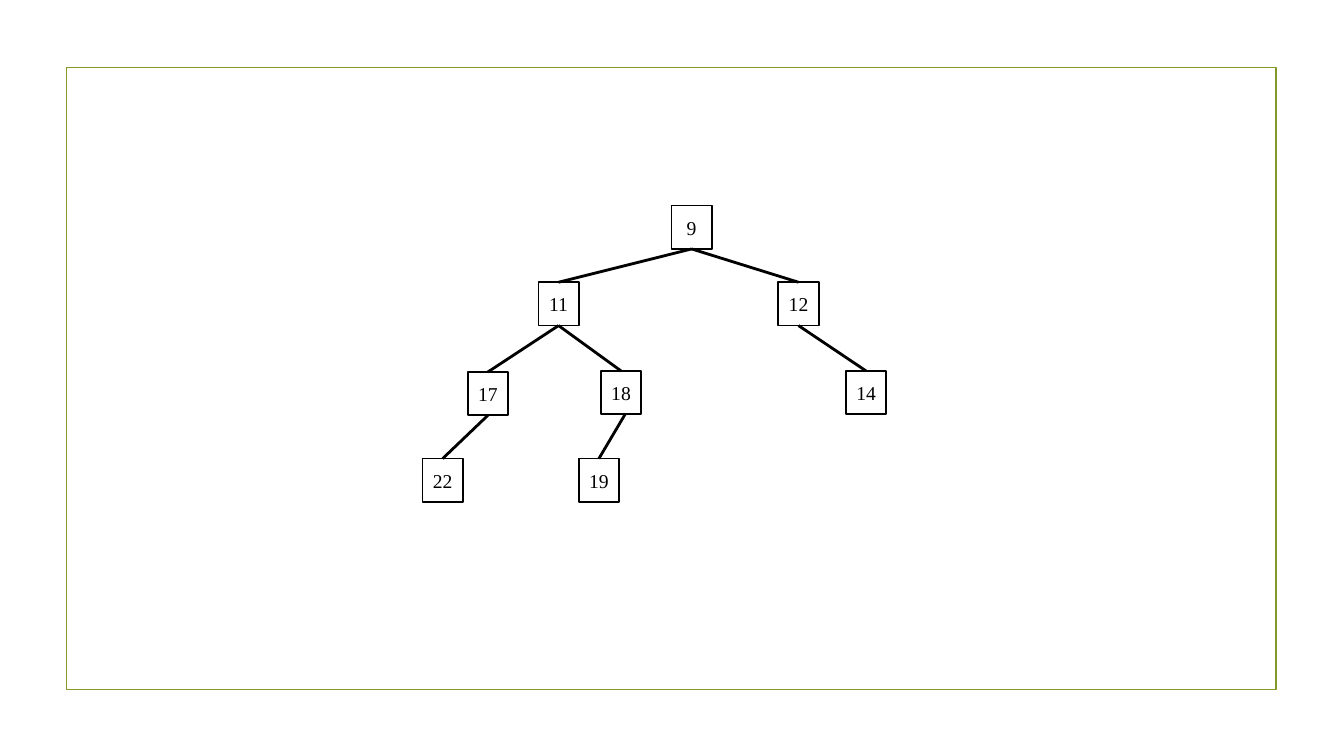
from pptx import Presentation
from pptx.dml.color import RGBColor
from pptx.enum import shapes, text
from pptx.oxml.ns import qn
from pptx.util import Inches, Pt
from lxml import etree

# Content: node value -> left, top (inches)
NODES = {
    9: (6.66, 2.04),
    12: (7.72, 2.8), 11: (5.34, 2.8),
    18: (5.96, 3.68), 14: (8.39, 3.68), 17: (4.64, 3.69),
    22: (4.19, 4.55), 19: (5.74, 4.55),
}
# Parent, child, shift of the start point from the parent's centre
EDGES = [(9, 11, 0), (9, 12, 0), (11, 17, 0), (11, 18, 0),
         (12, 14, 0), (18, 19, 0.04), (17, 22, 0)]
FRAME = (0.66, 0.67, 12, 6.17)
NODE_W, NODE_H = 0.4, 0.43

FONT = "Times New Roman"
BLACK = RGBColor(0x00, 0x00, 0x00)
WHITE = RGBColor(0xFF, 0xFF, 0xFF)
OLIVE = RGBColor(0x83, 0x99, 0x2A)


def add_box(s, box, line):
    sp = s.shapes.add_shape(shapes.MSO_SHAPE.RECTANGLE, *map(Inches, box))
    sp.shadow.inherit = False
    sp.line.color.rgb = line
    sp.line.width = Pt(1.25)
    return sp


def add_node(s, value, left, top):
    sp = add_box(s, (left, top, NODE_W, NODE_H), BLACK)
    sp.fill.solid()
    sp.fill.fore_color.rgb = WHITE
    tf = sp.text_frame
    tf.word_wrap = False
    tf.vertical_anchor = text.MSO_ANCHOR.MIDDLE
    p = tf.paragraphs[0]
    p.text = str(value)
    p.alignment = text.PP_ALIGN.CENTER
    p.font.name = FONT
    p.font.size = Pt(14)
    p.font.color.rgb = BLACK


def add_edge(s, parent, child, shift):
    (px, py), (cx, cy) = NODES[parent], NODES[child]
    ends = (px + NODE_W / 2 + shift, py + NODE_H, cx + NODE_W / 2, cy)
    edge = s.shapes.add_connector(shapes.MSO_CONNECTOR.STRAIGHT, *map(Inches, ends))
    edge.line.color.rgb = BLACK
    edge.line.width = Pt(2)
    etree.SubElement(edge._element.spPr, qn("a:effectLst"))


prs = Presentation()
prs.slide_width, prs.slide_height = Inches(13.33), Inches(7.5)
s = prs.slides.add_slide(prs.slide_layouts[6])

# Border
add_box(s, FRAME, OLIVE).fill.background()

# Tree
for value, (left, top) in NODES.items():
    add_node(s, value, left, top)
for parent, child, shift in EDGES:
    add_edge(s, parent, child, shift)

prs.save("out.pptx")
